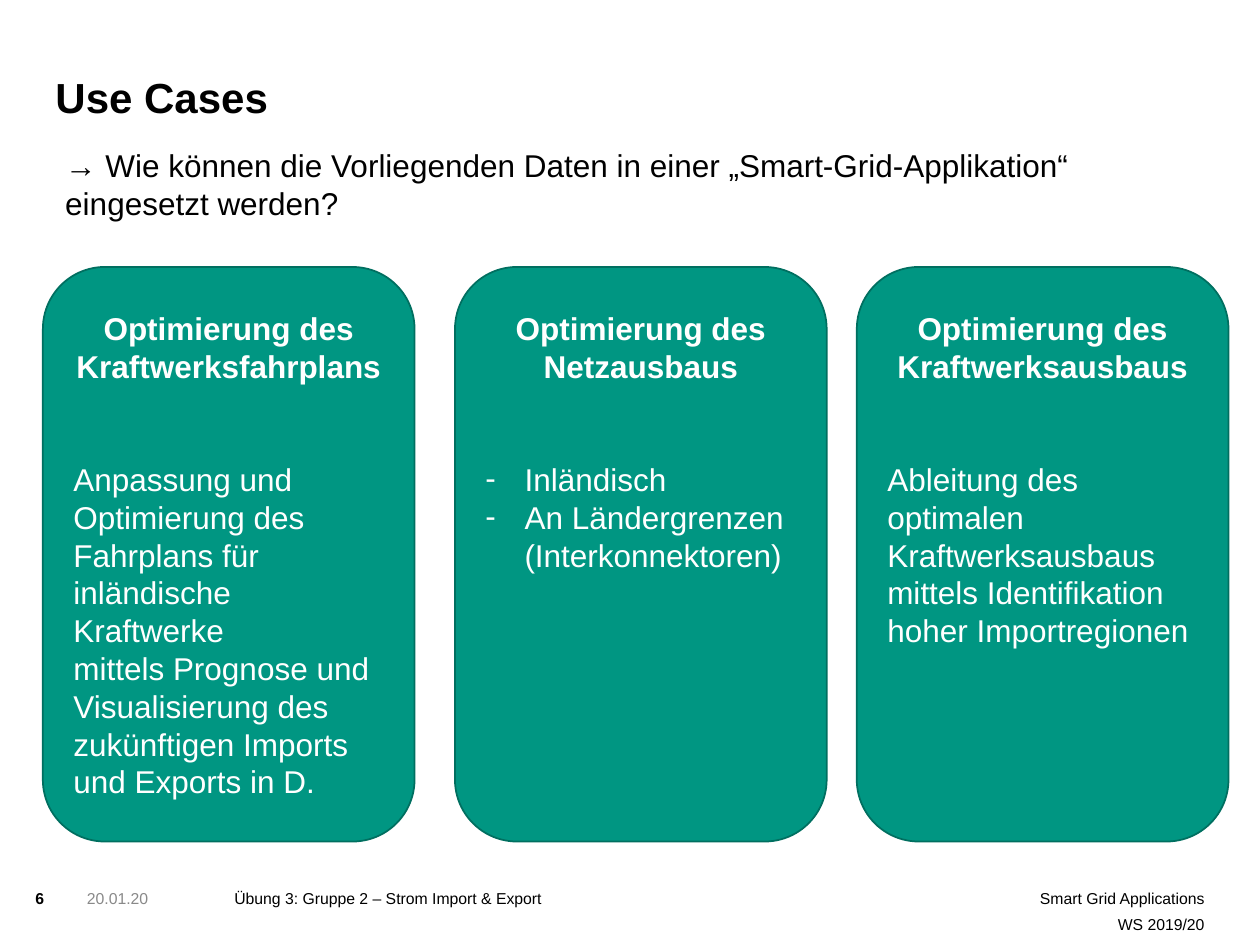
from lxml.etree import SubElement
from pptx import Presentation
from pptx.dml.color import RGBColor
from pptx.enum.shapes import MSO_SHAPE as Shape
from pptx.enum.text import MSO_ANCHOR as Anchor, MSO_AUTO_SIZE as AutoSize, PP_ALIGN as Align
from pptx.oxml.ns import qn
from pptx.util import Pt

TITLE = "Use Cases"
QUESTION = ("→ Wie können die Vorliegenden Daten in einer „Smart-Grid-Applikation“ "
            "eingesetzt werden?")
CARDS = [
    (24.5, "Optimierung des Kraftwerksfahrplans", False, [
        "Anpassung und Optimierung des Fahrplans für inländische Kraftwerke",
        "mittels Prognose und Visualisierung des zukünftigen Imports und Exports in D."]),
    (260, "Optimierung des Netzausbaus", True, [
        "Inländisch", "An Ländergrenzen (Interkonnektoren)"]),
    (489.6, "Optimierung des Kraftwerksausbaus", False, [
        "Ableitung des optimalen Kraftwerksausbaus mittels Identifikation hoher Importregionen"]),
]
FOOTERS = [
    (20.2, 26, ["6"], {"bold": True}, Align.LEFT),
    (49.7, 80.6, ["20.01.20"], {"color": "898989"}, Align.LEFT),
    (133.9, 333.4, ["Übung 3: Gruppe 2 – Strom Import & Export"], {}, Align.LEFT),
    (467.3, 221, ["Smart Grid Applications", "WS 2019/20"], {}, Align.RIGHT),
]
CARD_TOP, CARD_WIDTH, CARD_HEIGHT = 152.6, 212.4, 328.3
FOOTER_TOP, FOOTER_HEIGHT = 507.6, 28.8
HEADING_GAP, BULLET_INDENT = 43.2, 22.3
MARGINS = ("margin_left", "margin_top", "margin_right", "margin_bottom")


def rgb(color):
    return RGBColor.from_string(color)


def set_values(target, values):
    for name, value in values.items():
        setattr(target, name, value)


def place(shape, left, top, width, height):
    set_values(shape, {"left": Pt(left), "top": Pt(top),
                       "width": Pt(width), "height": Pt(height)})


def set_frame(frame, margins=(0, 0, 0, 0), anchor=Anchor.TOP, auto_size=AutoSize.NONE):
    set_values(frame, {name: Pt(margin) for name, margin in zip(MARGINS, margins)})
    set_values(frame, {"word_wrap": True, "auto_size": auto_size, "vertical_anchor": anchor})


def write(paragraph, text, size, color="000000", bold=False, **layout):
    run = paragraph.add_run()
    run.text = text
    set_values(run.font, {"name": "Arial", "size": Pt(size), "bold": bold})
    run.font.color.rgb = rgb(color)
    set_values(paragraph, {"alignment": Align.LEFT, **layout})


def add_dash(paragraph):
    properties = paragraph._p.get_or_add_pPr()
    properties.set("marL", str(Pt(BULLET_INDENT)))
    properties.set("indent", str(-Pt(BULLET_INDENT)))
    SubElement(properties, qn("a:buFont"), typeface="Arial")
    SubElement(properties, qn("a:buChar"), char="-")


def add_text_box(slide, box, **frame_values):
    shape = slide.shapes.add_textbox(*map(Pt, box))
    set_frame(shape.text_frame, **frame_values)
    return shape.text_frame


def add_card(slide, left, heading, dashed, lines):
    card = slide.shapes.add_shape(
        Shape.ROUNDED_RECTANGLE, *map(Pt, (left, CARD_TOP, CARD_WIDTH, CARD_HEIGHT)))
    card.shadow.inherit = False
    card.fill.solid()
    card.fill.fore_color.rgb = rgb("009682")
    card.line.color.rgb = rgb("006F60")
    card.line.width = Pt(1)
    frame = card.text_frame
    set_frame(frame, margins=(7.2, 13.5, 7.2, 3.6))
    write(frame.paragraphs[0], heading, 18, "FFFFFF", True,
          alignment=Align.CENTER, space_after=Pt(HEADING_GAP))
    for line in lines:
        paragraph = frame.add_paragraph()
        write(paragraph, line, 18, "FFFFFF")
        if dashed:
            add_dash(paragraph)


def add_footer(slide, left, width, lines, font, alignment):
    frame = add_text_box(slide, (left, FOOTER_TOP, width, FOOTER_HEIGHT))
    for index, line in enumerate(lines):
        paragraph = frame.add_paragraph() if index else frame.paragraphs[0]
        write(paragraph, line, 9, **font, alignment=alignment,
              space_before=Pt(4.5 if index else 0))


def main():
    presentation = Presentation()
    set_values(presentation, {"slide_width": Pt(720), "slide_height": Pt(540)})
    slide = presentation.slides.add_slide(presentation.slide_layouts.get_by_name("Title Only"))

    title = slide.shapes.title
    place(title, 31.7, 31, 540.7, 38.9)
    set_frame(title.text_frame, anchor=Anchor.BOTTOM)
    write(title.text_frame.paragraphs[0], TITLE, 24, bold=True, line_spacing=0.9)

    question = add_text_box(slide, (30.2, 79.9, 663.8, 51.1), margins=(7.2, 3.6, 7.2, 3.6),
                            auto_size=AutoSize.SHAPE_TO_FIT_TEXT)
    write(question.paragraphs[0], QUESTION, 18)

    for card in CARDS:
        add_card(slide, *card)
    for footer in FOOTERS:
        add_footer(slide, *footer)
    presentation.save("out.pptx")


if __name__ == "__main__":
    main()
